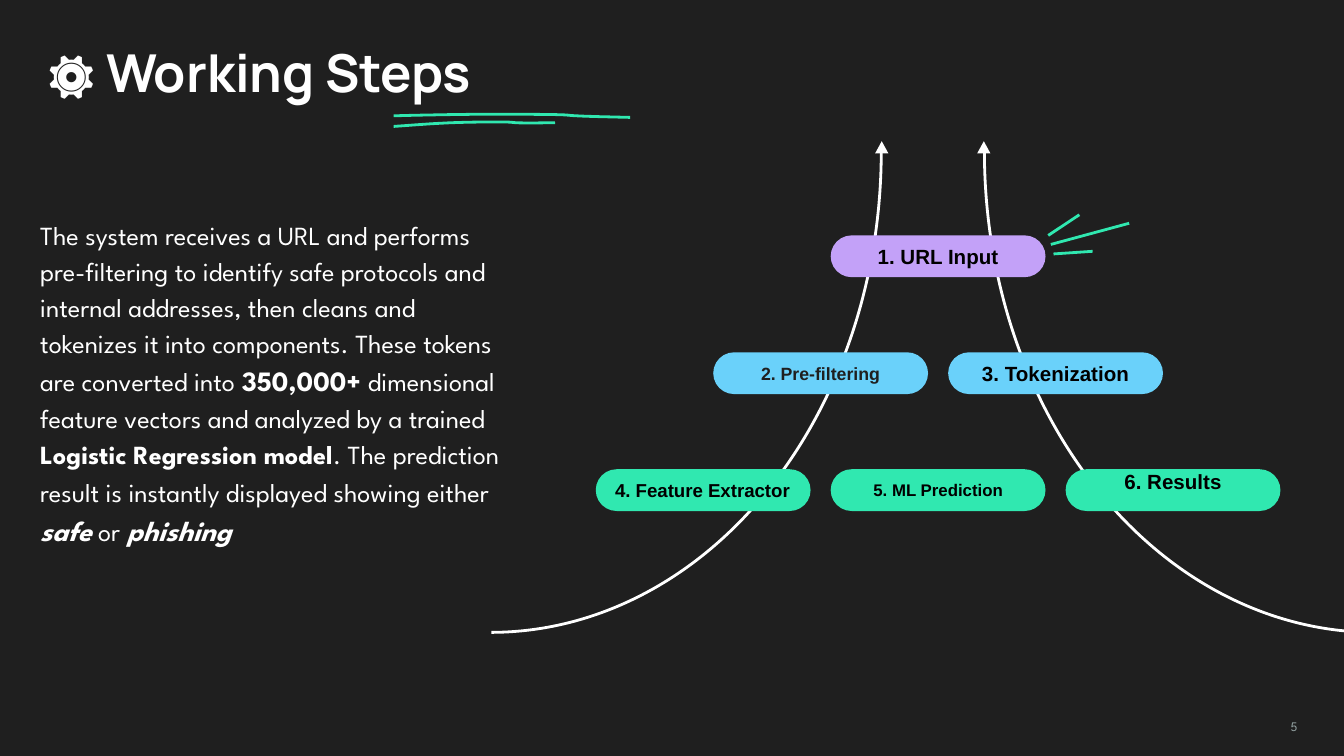
from dataclasses import dataclass

from lxml.etree import SubElement
from pptx import Presentation
from pptx.dml.color import RGBColor
from pptx.enum.shapes import MSO_CONNECTOR, MSO_SHAPE
from pptx.enum.text import MSO_ANCHOR, MSO_AUTO_SIZE, PP_ALIGN
from pptx.oxml.ns import qn
from pptx.util import Cm, Pt


@dataclass(frozen=True)
class Theme:
    background: str = "1F1F1F"
    white: str = "FFFFFF"
    black: str = "000000"
    grey: str = "93A2A2"
    green: str = "30E8B0"
    blue: str = "6AD1FA"
    purple: str = "C3A1F8"
    title_font: str = "Manrope"
    body_font: str = "League Spartan"
    label_font: str = "Arial"
    title_size: float = 28
    body_size: float = 14
    strong_size: float = 15
    label_size: float = 11
    label_medium: float = 10
    label_small: float = 9.5
    label_smallest: float = 9
    number_size: float = 7
    line_width: float = 1.5


THEME = Theme()

# Text, size, bold, italic
BODY_SPANS = [
    ("The system receives a URL and performs pre-filtering to identify safe "
     "protocols and internal addresses, then cleans and tokenizes it into "
     "components. These tokens are converted into ", THEME.body_size, False, False),
    ("350,000+", THEME.strong_size, True, False),
    (" dimensional feature vectors and analyzed by a trained ",
     THEME.body_size, False, False),
    ("Logistic Regression model", THEME.body_size, True, False),
    (". The prediction result is instantly displayed showing either",
     THEME.body_size, False, False),
    (" ", THEME.strong_size, False, False),
    ("safe", THEME.strong_size, True, True),
    (" or ", THEME.body_size, False, False),
    ("phishing", THEME.strong_size, True, True),
]

# Fill, then label, size, text colour, alignment and bottom inset of each step
STEP_ROWS = [
    (THEME.purple, [
        ("1. URL Input", THEME.label_size, THEME.black, PP_ALIGN.CENTER, 0)]),
    (THEME.blue, [
        ("2. Pre-filtering", THEME.label_small, THEME.background, PP_ALIGN.CENTER, 0),
        ("3. Tokenization", THEME.label_size, THEME.black, PP_ALIGN.CENTER, 0)]),
    (THEME.green, [
        ("4. Feature Extractor", THEME.label_medium, THEME.black, PP_ALIGN.LEFT, 0),
        ("5. ML Prediction", THEME.label_smallest, THEME.black, PP_ALIGN.CENTER, 0),
        ("6. Results", THEME.label_size, THEME.black, PP_ALIGN.CENTER, 0.32)]),
]

RAYS = [(19.81, 4.45, 20.4, 4.06), (19.86, 4.62, 21.34, 4.22), (19.91, 4.8, 20.65, 4.75)]

# Each stroke is a start point followed by two cubic curves
UNDERLINES = [
    [(7.44, 2.39), (8.03, 2.35), (8.33, 2.32), (8.92, 2.31),
     (10.21, 2.29), (9.17, 2.34), (10.49, 2.32)],
    [(7.44, 2.19), (8.28, 2.17), (8.76, 2.16), (9.6, 2.16),
     (11.51, 2.17), (9.96, 2.18), (11.91, 2.22)],
]


def place(shape, left, top, width, height):
    shape.left, shape.top = Cm(left), Cm(top)
    shape.width, shape.height = Cm(width), Cm(height)


def set_frame(frame, anchor=MSO_ANCHOR.TOP, top=0.25, bottom=0.25):
    frame.word_wrap = True
    frame.auto_size = MSO_AUTO_SIZE.NONE
    frame.vertical_anchor = anchor
    frame.margin_left = frame.margin_right = Cm(0.25)
    frame.margin_top, frame.margin_bottom = Cm(top), Cm(bottom)


def style_span(span, font, size, color, bold=False, italic=False):
    span.font.name = font
    span.font.size = Pt(size)
    span.font.color.rgb = RGBColor.from_string(color)
    span.font.bold = bold
    span.font.italic = italic


def style_line(shape, color):
    shape.line.color.rgb = RGBColor.from_string(color)
    shape.line.width = Pt(THEME.line_width)


def set_fill(shape, color):
    shape.fill.solid()
    shape.fill.fore_color.rgb = RGBColor.from_string(color)


def add_preset(page, kind, left, top, width, height):
    shape = page.shapes.add_shape(kind, Cm(left), Cm(top), Cm(width), Cm(height))
    shape.shadow.inherit = False
    return shape


def flip(shape):
    shape._element.spPr.find(qn("a:xfrm")).set("flipH", "1")


def fill_title(page):
    title = page.shapes.title
    place(title, 0.64, 0.33, 15.85, 1.7)
    set_frame(title.text_frame)
    para = title.text_frame.paragraphs[0]
    para.text = "⚙️ Working Steps"
    para.alignment = PP_ALIGN.LEFT
    para.line_spacing = 1.15
    para.space_before = Pt(0)
    style_span(para.runs[0], THEME.title_font, THEME.title_size, THEME.white, bold=True)


def fill_body(page):
    body = page.placeholders[1]
    place(body, 0.51, 3.81, 9.32, 8.46)
    set_frame(body.text_frame)
    para = body.text_frame.paragraphs[0]
    para.line_spacing = 1.15
    para.space_before = Pt(0)
    properties = para._p.get_or_add_pPr()
    properties.set("marL", "0")
    properties.set("indent", "0")
    SubElement(properties, qn("a:buNone"))
    for text, size, bold, italic in BODY_SPANS:
        span = para.add_run()
        span.text = text
        style_span(span, THEME.body_font, size, THEME.white, bold, italic)


def add_page_number(page):
    box = page.shapes.add_textbox(Cm(18.67), Cm(13.34), Cm(6.1), Cm(0.81))
    set_frame(box.text_frame)
    para = box.text_frame.paragraphs[0]
    para.text = "5"
    para.alignment = PP_ALIGN.RIGHT
    style_span(para.runs[0], THEME.body_font, THEME.number_size, THEME.grey)


def add_curved_arrow(page, arc_left, tip_left, rotation, mirrored):
    """Quarter arc that ends in an upward arrowhead."""
    arc = add_preset(page, MSO_SHAPE.ARC, arc_left, -4.52, 18.19, 14.76)
    arc.adjustments[0], arc.adjustments[1] = 162, 215.96
    arc.rotation = rotation
    arc.fill.background()
    style_line(arc, THEME.white)
    tip = add_preset(page, MSO_SHAPE.ISOSCELES_TRIANGLE, tip_left, 2.67, 0.25, 0.23)
    set_fill(tip, THEME.white)
    tip.line.fill.background()
    if mirrored:
        flip(arc)
        flip(tip)


def add_step(page, left, top, fill, step):
    label, size, color, alignment, bottom = step
    pill = add_preset(page, MSO_SHAPE.ROUNDED_RECTANGLE, left, top, 4.06, 0.79)
    pill.adjustments[0] = 0.5
    set_fill(pill, fill)
    pill.line.fill.background()
    set_frame(pill.text_frame, MSO_ANCHOR.MIDDLE, 0, bottom)
    para = pill.text_frame.paragraphs[0]
    para.text = label
    para.alignment = alignment
    style_span(para.runs[0], THEME.label_font, size, color, bold=True)


def add_pyramid(page):
    for row, (fill, steps) in enumerate(STEP_ROWS):
        for column, step in enumerate(steps):
            left = 15.7 + 4.44 * (column - (len(steps) - 1) / 2)
            add_step(page, left, 4.45 + 2.21 * row, fill, step)


def add_ray(page, ends):
    ray = page.shapes.add_connector(MSO_CONNECTOR.STRAIGHT, *map(Cm, ends))
    style_line(ray, THEME.green)
    SubElement(ray._element.spPr, qn("a:effectLst"))


def curve_point(controls, t):
    weights = ((1 - t) ** 3, 3 * t * (1 - t) ** 2, 3 * t * t * (1 - t), t ** 3)
    return tuple(Cm(sum(w * c for w, c in zip(weights, axis))) for axis in zip(*controls))


def add_stroke(page, points, steps=16):
    builder = page.shapes.build_freeform(Cm(points[0][0]), Cm(points[0][1]))
    builder.add_line_segments(
        [curve_point(points[first:first + 4], step / steps)
         for first in range(0, len(points) - 1, 3) for step in range(1, steps + 1)],
        close=False)
    stroke = builder.convert_to_shape()
    stroke.shadow.inherit = False
    stroke.fill.background()
    style_line(stroke, THEME.green)


def main():
    deck = Presentation()
    deck.slide_width, deck.slide_height = Cm(25.4), Cm(14.29)
    page = deck.slides.add_slide(deck.slide_layouts[1])
    set_fill(page.background, THEME.background)
    add_page_number(page)
    fill_title(page)
    fill_body(page)
    add_curved_arrow(page, 0.18, 16.54, 90, mirrored=False)
    add_curved_arrow(page, 16.89, 18.47, 270, mirrored=True)
    add_pyramid(page)
    for ends in RAYS:
        add_ray(page, ends)
    for points in UNDERLINES:
        add_stroke(page, points)
    deck.save("out.pptx")


if __name__ == "__main__":
    main()
